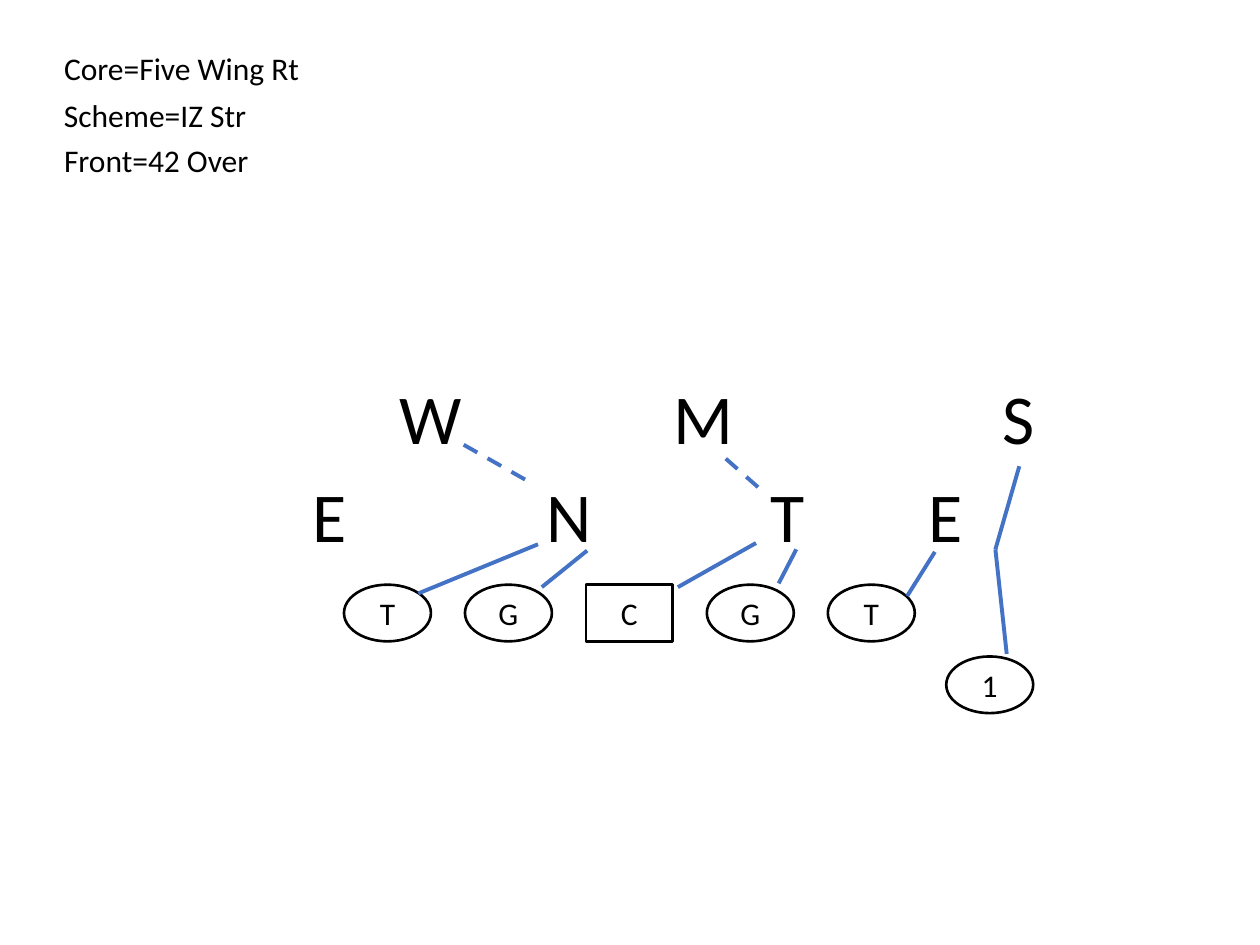
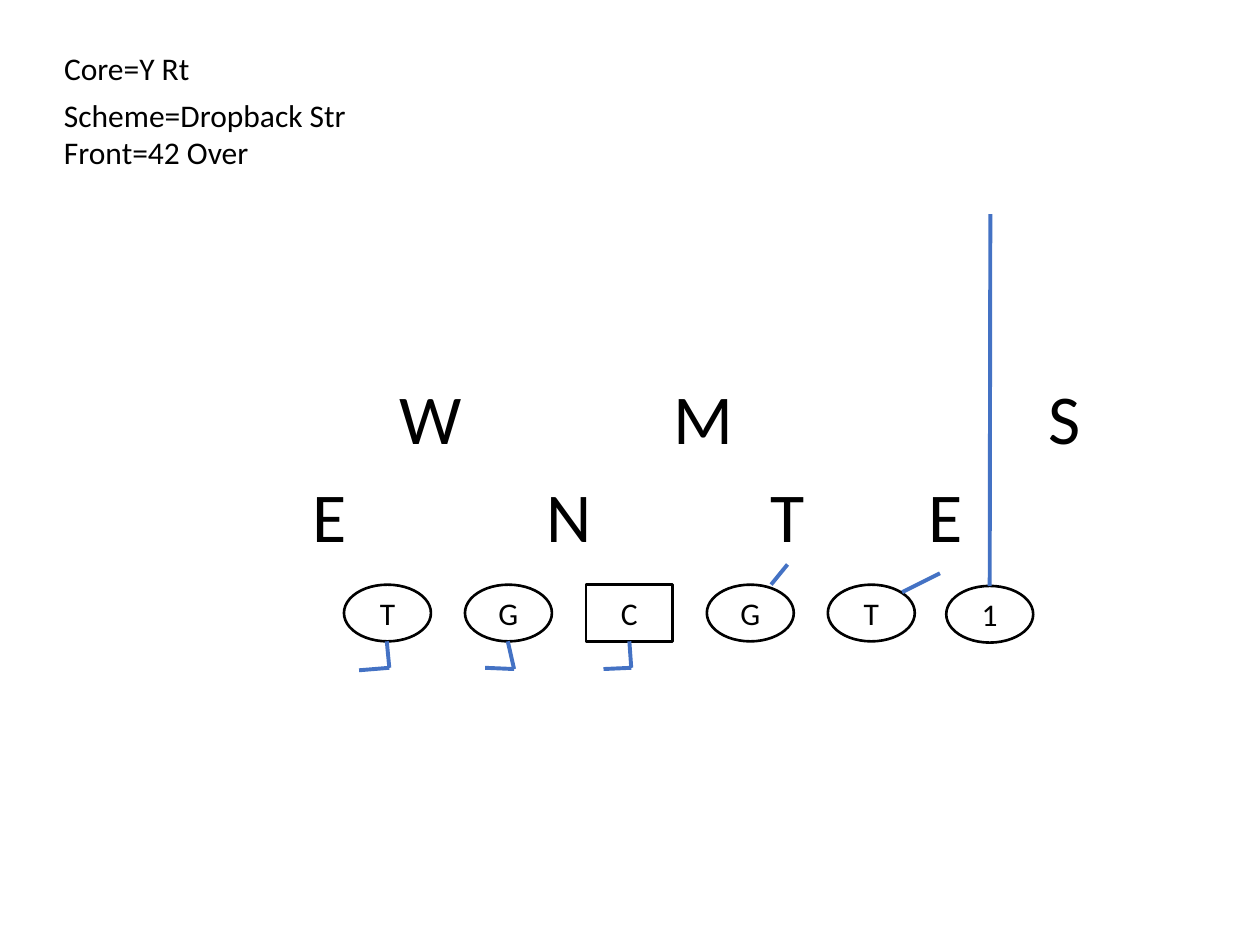
"""Build two football blocking diagrams against a 42 Over front."""
from itertools import pairwise

from lxml.etree import SubElement
from pptx import Presentation
from pptx.dml.color import RGBColor
from pptx.enum.dml import MSO_LINE
from pptx.enum.shapes import MSO_CONNECTOR, MSO_SHAPE
from pptx.enum.text import MSO_ANCHOR as ANCHOR, MSO_AUTO_SIZE as AUTO, PP_ALIGN as ALIGN
from pptx.oxml.ns import qn
from pptx.util import Inches, Pt

COLORS = {"ink": "000000", "paper": "FFFFFF", "route": "4472C4"}
FONT = "Calibri"

LINEMEN = ["T", "G", "C", "G", "T"]
LINE_LEFT, LINE_TOP, LINE_STEP = 2.73, 4.64, 0.96
PLAYER_W, PLAYER_H = 0.69, 0.45
WING_LEFT = 7.51

FRONT_TOP, BACKER_TOP, DEFENDER_H = 3.7, 2.92, 0.77
DEFENDERS = [
    ("E", 2.38, FRONT_TOP, 0.48),
    ("N", 4.24, FRONT_TOP, 0.56),
    ("T", 6.02, FRONT_TOP, 0.48),
    ("E", 7.27, FRONT_TOP, 0.48),
    ("W", 3.07, BACKER_TOP, 0.7),
    ("M", 5.25, BACKER_TOP, 0.7),
]
HEADING_LEFT, HEADING_H = 0.41, 0.4

PLAYS = [
    {
        "headings": [
            ("Core=Five Wing Rt", 0.34, 2.09),
            ("Scheme=IZ Str", 0.71, 1.66),
            ("Front=42 Over", 1.07, 1.68),
        ],
        "wing_top": 5.21,
        "sam": ("S", 7.86, BACKER_TOP, 0.46),
        "routes": [
            [(3.32, 4.71), (4.27, 4.32)],
            [(4.66, 4.37), (4.3, 4.66)],
            [(6, 4.31), (5.38, 4.66)],
            [(6.32, 4.36), (6.18, 4.63)],
            [(7.42, 4.38), (7.2, 4.73)],
            [(7.99, 5.19), (7.9, 4.36), (8.09, 3.7)],
        ],
        "climbs": [
            [(3.68, 3.53), (4.21, 3.83)],
            [(5.76, 3.64), (6.02, 3.87)],
        ],
        "joins": {},
    },
    {
        "headings": [
            ("Core=Y Rt", 0.34, 1.21),
            ("Scheme=Dropback Str", 0.71, 2.46),
            ("Front=42 Over", 1.01, 1.74),
        ],
        "wing_top": 4.65,
        "sam": ("S", 8.22, BACKER_TOP, 0.48),
        "routes": [
            [(7.86, 4.65), (7.86, 1.7)],
            [(7.16, 4.7), (7.46, 4.55)],
            [(6.25, 4.48), (6.12, 4.64)],
            [(4.99, 5.09), (5.01, 5.3), (4.79, 5.31)],
            [(4.03, 5.09), (4.08, 5.31), (3.85, 5.3)],
            [(3.07, 5.09), (3.09, 5.3), (2.85, 5.32)],
        ],
        "climbs": [],
        "joins": {(7.86, 4.65): ("1", 0), (4.99, 5.09): ("C", 2)},
    },
]


def rgb(name):
    return RGBColor.from_string(COLORS[name])


def write(sp, text, size, paragraph_format, frame_format):
    tf = sp.text_frame
    for key, value in frame_format.items():
        setattr(tf, key, value)
    p = tf.paragraphs[0]
    for key, value in paragraph_format.items():
        setattr(p, key, value)
    r = p.add_run()
    r.text = text
    for key, value in {"name": FONT, "size": Pt(size)}.items():
        setattr(r.font, key, value)
    r.font.color.rgb = rgb("ink")


def add_label(s, text, left, top, width, height, size):
    sp = s.shapes.add_textbox(*map(Inches, (left, top, width, height)))
    write(sp, text, size, {}, {"word_wrap": False, "auto_size": AUTO.SHAPE_TO_FIT_TEXT})


def add_player(s, text, left, top):
    kind = MSO_SHAPE.RECTANGLE if text == "C" else MSO_SHAPE.OVAL
    sp = s.shapes.add_shape(kind, *map(Inches, (left, top, PLAYER_W, PLAYER_H)))
    sp.shadow.inherit = False
    sp.fill.solid()
    sp.fill.fore_color.rgb = rgb("paper")
    sp.line.color.rgb = rgb("ink")
    sp.line.width = Pt(1.5)
    write(sp, text, 18, {"alignment": ALIGN.CENTER}, {"vertical_anchor": ANCHOR.MIDDLE})
    return sp


def add_route(s, points, players, joins, dash=None):
    for start, end in pairwise(points):
        c = s.shapes.add_connector(MSO_CONNECTOR.STRAIGHT, *map(Inches, start + end))
        c.line.color.rgb = rgb("route")
        c.line.width = Pt(2.25)
        c.line.dash_style = dash
        SubElement(c._element.spPr, qn("a:effectLst"))
        if start in joins:
            name, site = joins[start]
            c.begin_connect(players[name], site)


def build_play(s, play):
    for text, top, width in play["headings"]:
        add_label(s, text, HEADING_LEFT, top, width, HEADING_H, 18)
    spots = [(name, LINE_LEFT + i * LINE_STEP, LINE_TOP) for i, name in enumerate(LINEMEN)]
    spots.append(("1", WING_LEFT, play["wing_top"]))
    players = {spot[0]: add_player(s, *spot) for spot in spots}
    for text, left, top, width in DEFENDERS + [play["sam"]]:
        add_label(s, text, left, top, width, DEFENDER_H, 40)
    for points in play["routes"]:
        add_route(s, points, players, play["joins"])
    for points in play["climbs"]:
        add_route(s, points, players, play["joins"], MSO_LINE.DASH)


def main():
    prs = Presentation()
    prs.slide_width, prs.slide_height = Inches(10), Inches(7.5)
    for play in PLAYS:
        build_play(prs.slides.add_slide(prs.slide_layouts[6]), play)
    prs.save("out.pptx")


if __name__ == "__main__":
    main()
